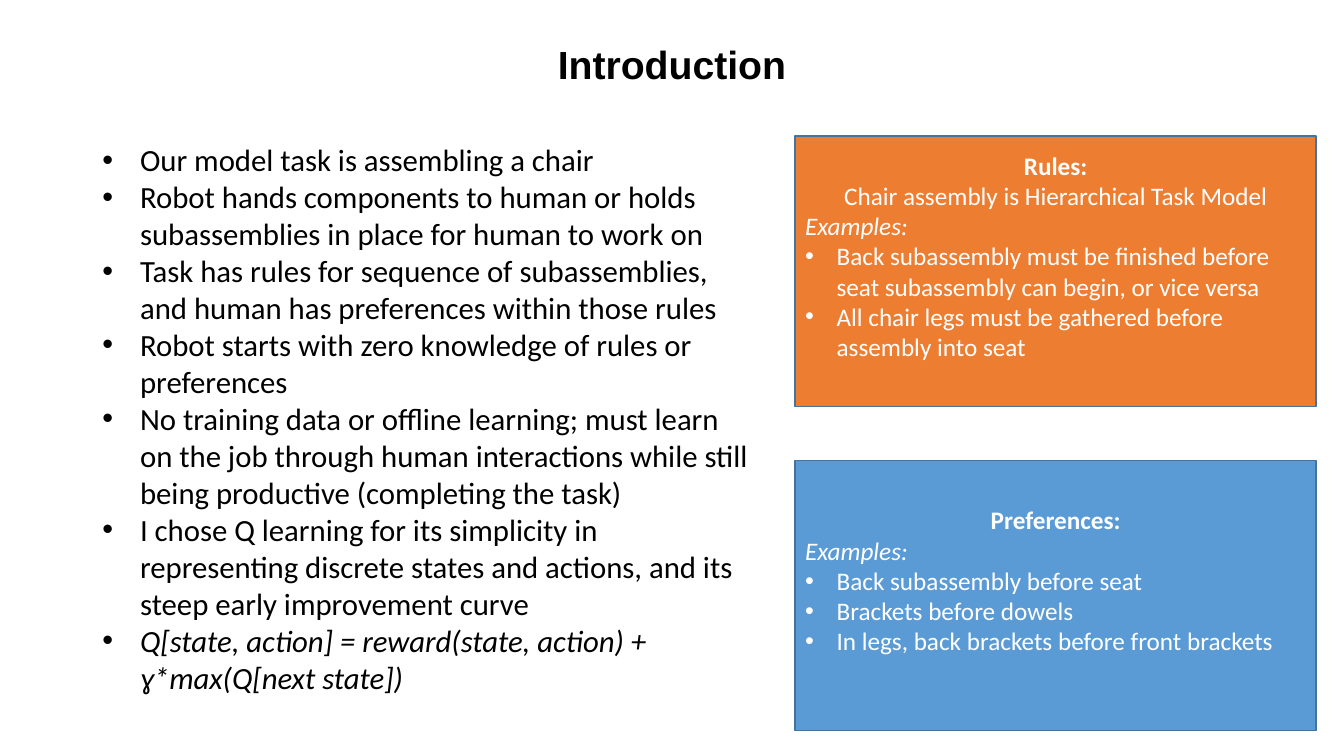
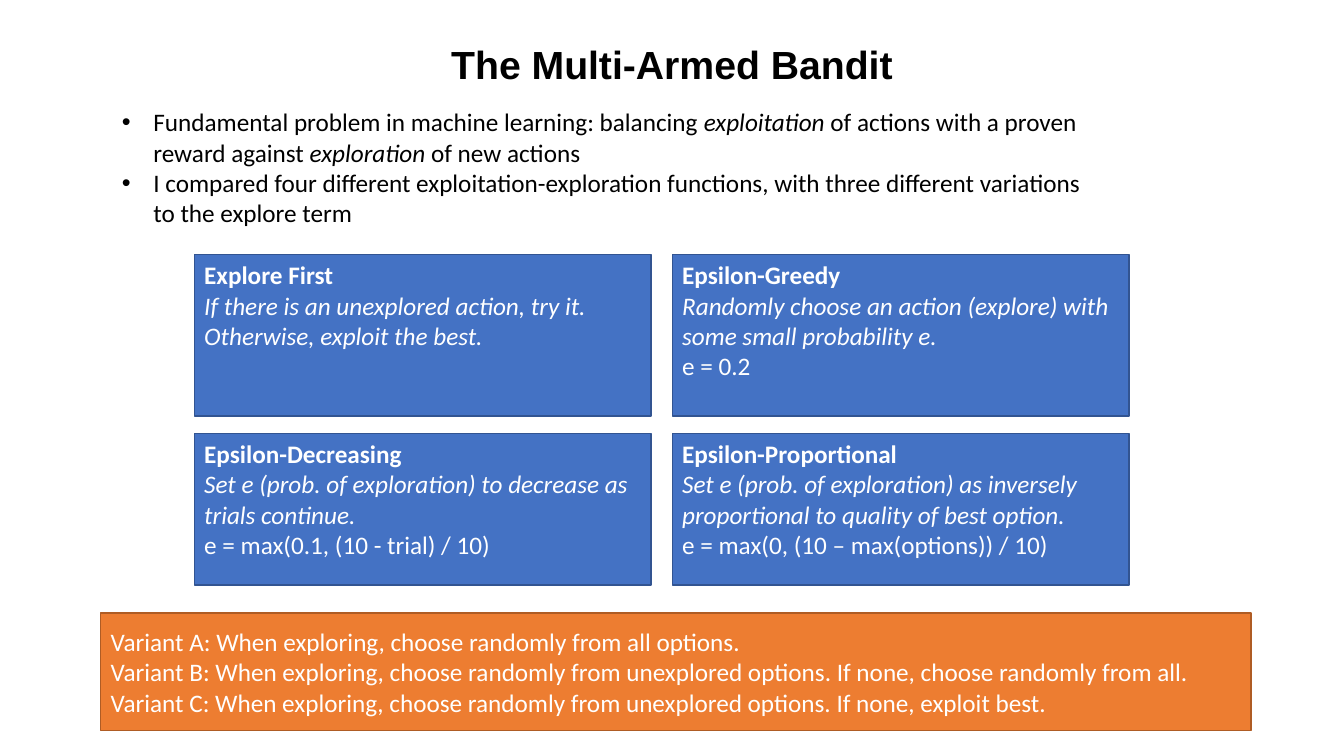
from lxml import etree
from pptx import Presentation
from pptx.dml.color import RGBColor
from pptx.enum import shapes, text
from pptx.oxml import ns
from pptx.util import Pt

COLORS = {
    "black": "000000", "white": "FFFFFF", "orange": "ED7D31", "sky": "5B9BD5",
    "blue": "4472C4", "steel": "43739E", "navy": "325491", "rust": "AF5C24",
}
LEFT, CENTER = text.PP_ALIGN.LEFT, text.PP_ALIGN.CENTER
TOP, MIDDLE = text.MSO_ANCHOR.TOP, text.MSO_ANCHOR.MIDDLE
INSET = 3.6
LOWER_INSET = 25.6
INDENTS = {18: 22.5, 22: 27}

ROLES = {
    "title": {"bold": True, "align": CENTER, "spacing": 0.9},
    "heading": {"bold": True, "align": CENTER},
    "name": {"bold": True},
    "centered": {"align": CENTER},
    "plain": {},
    "italic": {"italic": True},
    "bullet": {"bullet": True},
    "formula": {"bullet": True, "italic": True},
}

TITLE_AREA = (66, 28.8, 828, 104.4)

# Pieces after the role alternate between the role's slant and the opposite one.
INTRO = [
    ("bullet", "Our model task is assembling a chair"),
    ("bullet", "Robot hands components to human or holds subassemblies in place for human to work on"),
    ("bullet", "Task has rules for sequence of subassemblies, and human has preferences within those rules"),
    ("bullet", "Robot starts with zero knowledge of rules or preferences"),
    ("bullet", "No training data or offline learning; must learn on the job through human interactions "
               "while still being productive (completing the task)"),
    ("bullet", "I chose Q learning for its simplicity in representing discrete states and actions, "
               "and its steep early improvement curve"),
    ("formula", "Q[state, action] = reward(state, action) + ɣ*max(Q[next state])"),
]
PANELS = [
    ("orange", [
        ("heading", "Rules:"),
        ("centered", "Chair assembly is Hierarchical Task Model"),
        ("italic", "Examples:"),
        ("bullet", "Back subassembly must be finished before seat subassembly can begin, or vice versa"),
        ("bullet", "All chair legs must be gathered before assembly into seat"),
    ]),
    ("sky", [
        ("heading", "Preferences:"),
        ("italic", "Examples:"),
        ("bullet", "Back subassembly before seat"),
        ("bullet", "Brackets before dowels"),
        ("bullet", "In legs, back brackets before front brackets"),
    ]),
]
BANDIT = [
    ("bullet", "Fundamental problem in machine learning: balancing ", "exploitation",
     " of actions with a proven reward against ", "exploration", " of new actions"),
    ("bullet", "I compared four different exploitation-exploration functions, "
               "with three different variations to the explore term"),
]
STRATEGIES = [
    [("name", "Explore First"),
     ("italic", "If there is an unexplored action, try it. Otherwise, exploit the best.")],
    [("name", "Epsilon-Greedy"),
     ("italic", "Randomly choose an action (explore) with some small probability e."),
     ("plain", "e = 0.2")],
    [("name", "Epsilon-Decreasing"),
     ("italic", "Set e (prob. of exploration) to decrease as trials continue."),
     ("plain", "e = max(0.1, (10 - trial) / 10)")],
    [("name", "Epsilon-Proportional"),
     ("italic", "Set e (prob. of exploration) as inversely proportional to quality of best option."),
     ("plain", "e = max(0, (10 – max(options)) / 10)")],
]
VARIANTS = [
    ("plain", "Variant A: When exploring, choose randomly from all options."),
    ("plain", "Variant B: When exploring, choose randomly from unexplored options. "
              "If none, choose randomly from all."),
    ("plain", "Variant C: When exploring, choose randomly from unexplored options. "
              "If none, exploit best."),
]


def rgb(name):
    return RGBColor.from_string(COLORS[name])


def add_bullet(para, indent):
    props = para._p.get_or_add_pPr()
    props.set("marL", str(Pt(indent)))
    props.set("indent", str(-Pt(indent)))
    etree.SubElement(props, ns.qn("a:buFont"), typeface="Arial")
    etree.SubElement(props, ns.qn("a:buChar"), char="•")


def write(box, paragraphs, size, color, font="Calibri", anchor=TOP, bottom=INSET):
    frame = box.text_frame
    settings = {"word_wrap": True, "vertical_anchor": anchor, "margin_bottom": Pt(bottom)}
    for key, value in settings.items():
        setattr(frame, key, value)
    for number, (role, *pieces) in enumerate(paragraphs):
        look = ROLES[role]
        para = frame.add_paragraph() if number else frame.paragraphs[0]
        para.alignment = look.get("align", LEFT)
        para.line_spacing = look.get("spacing", 1.0)
        if look.get("bullet"):
            add_bullet(para, INDENTS[size])
        for order, piece in enumerate(pieces):
            span = para.add_run()
            span.text = piece
            slant = look.get("italic", False) != bool(order % 2)
            formats = {"name": font, "size": Pt(size), "bold": look.get("bold", False), "italic": slant}
            for key, value in formats.items():
                setattr(span.font, key, value)
            span.font.color.rgb = rgb(color)


def add_text(page, area, paragraphs, size, font="Calibri"):
    write(page.shapes.add_textbox(*map(Pt, area)), paragraphs, size, "black", font)


def add_box(page, area, paragraphs, fill, line, anchor=TOP, bottom=INSET):
    box = page.shapes.add_shape(shapes.MSO_SHAPE.RECTANGLE, *map(Pt, area))
    box.shadow.inherit = False
    box.fill.solid()
    box.fill.fore_color.rgb = rgb(fill)
    box.line.color.rgb = rgb(line)
    box.line.width = Pt(1)
    write(box, paragraphs, 18, "white", anchor=anchor, bottom=bottom)


def add_page(deck, title):
    page = deck.slides.add_slide(deck.slide_layouts[6])
    add_text(page, TITLE_AREA, [("title", title)], 28, "Arial")
    return page


def build_introduction(deck):
    page = add_page(deck, "Introduction")
    add_text(page, (66, 97.2, 477.4, 433.4), INTRO, 22)
    left, top, width, height, gap = 568, 97.2, 372.2, 193, 38.8
    for row, (fill, paragraphs) in enumerate(PANELS):
        area = (left, top + row * (height + gap), width, height)
        add_box(page, area, paragraphs, fill, "steel", MIDDLE, LOWER_INSET)


def build_bandit(deck):
    page = add_page(deck, "The Multi-Armed Bandit")
    add_text(page, (80, 72.7, 709.2, 94.3), BANDIT, 18)
    left, top, width, heights = 138.8, 182, 326.2, (115.2, 108.4)
    column_gap, row_gap = 15.2, 12.4
    for number, paragraphs in enumerate(STRATEGIES):
        row, column = divmod(number, 2)
        area = (left + column * (width + column_gap),
                top + row * (heights[0] + row_gap), width, heights[row])
        add_box(page, area, paragraphs, "blue", "navy")
    add_box(page, (72, 437.8, 821.6, 84.2), VARIANTS, "orange", "rust", MIDDLE)


def main():
    deck = Presentation()
    deck.slide_width, deck.slide_height = Pt(960), Pt(540)
    build_introduction(deck)
    build_bandit(deck)
    deck.save("out.pptx")


if __name__ == "__main__":
    main()
